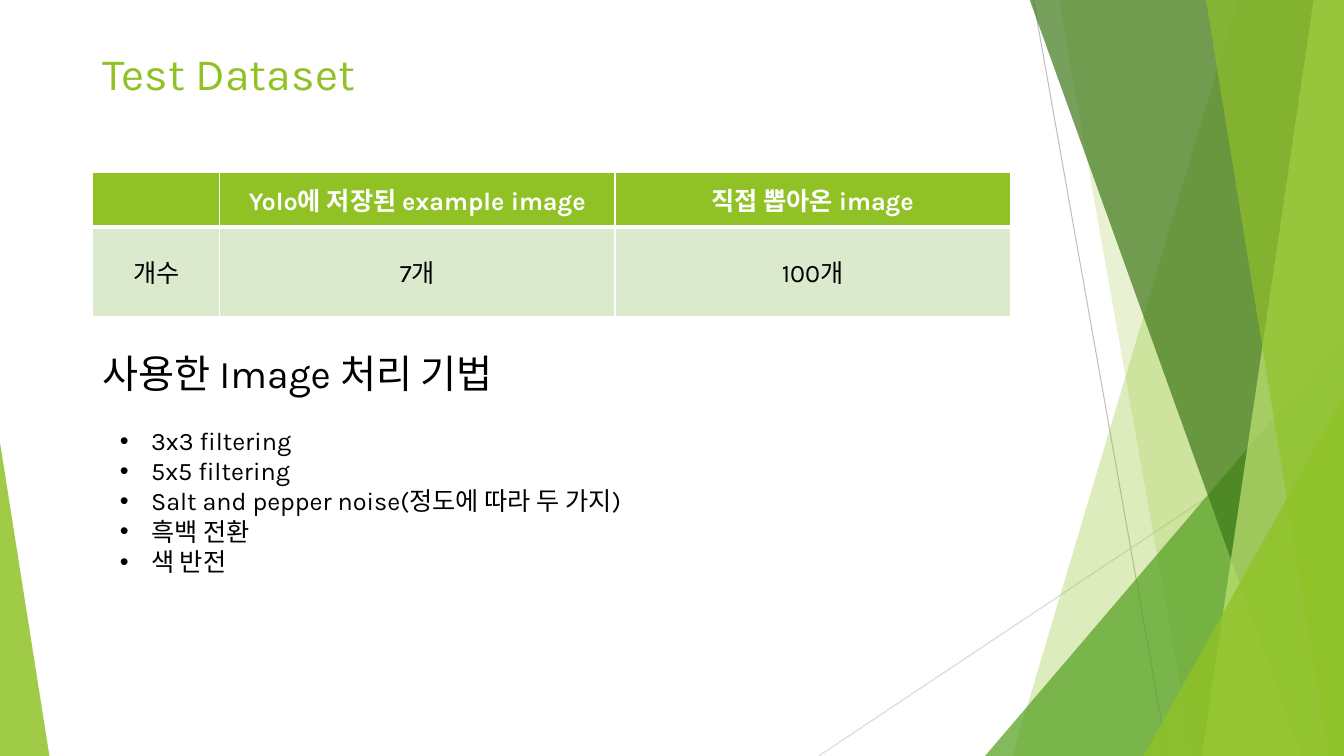
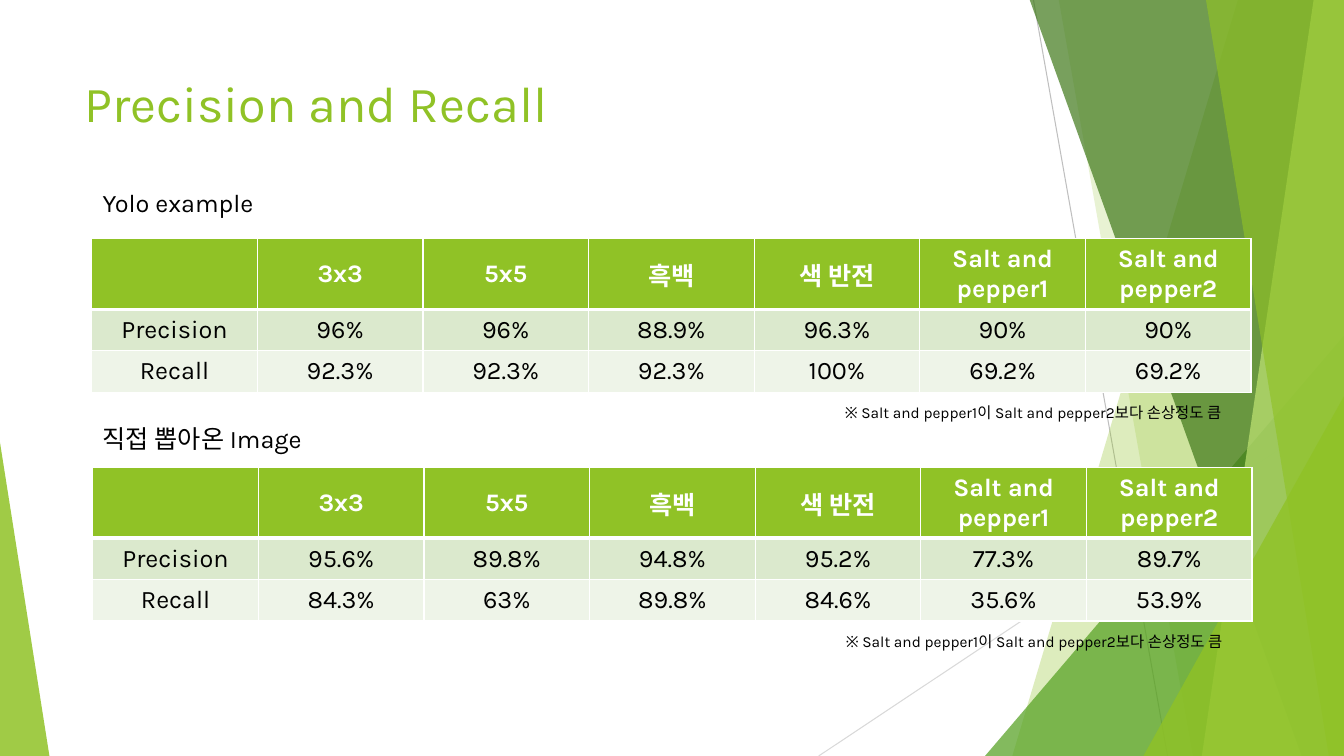
from dataclasses import dataclass

from pptx import Presentation
from pptx.dml.color import RGBColor
from pptx.enum.shapes import MSO_CONNECTOR, MSO_SHAPE
from pptx.enum.text import MSO_ANCHOR, PP_ALIGN
from pptx.oxml.ns import qn
from pptx.oxml.xmlchemy import OxmlElement
from pptx.util import Inches, Pt


@dataclass(frozen=True)
class Theme:
    font: str = "Karla"
    lime: str = "90C226"
    green: str = "54A021"
    forest: str = "3F7819"
    pale_lime: str = "C0E474"
    band_dark: str = "DBE9CD"
    band_light: str = "EEF4E8"
    gray: str = "BFBFBF"
    light_gray: str = "D9D9D9"
    white: str = "FFFFFF"
    black: str = "000000"
    heading_size: int = 28
    body_size: int = 18
    note_size: int = 11


THEME = Theme()
WIDTH, HEIGHT = 13.33, 7.5
BLEED_TOP = -0.01
LEFT = 0.92

NOTE = "※ Salt and pepper1이 Salt and pepper2보다 손상정도 큼"
TECHNIQUES = ["3x3 filtering", "5x5 filtering",
              "Salt and pepper noise(정도에 따라 두 가지)", "흑백 전환", "색 반전"]
DATASET_ROWS = [["", "Yolo에 저장된 example image", "직접 뽑아온 image"],
                ["개수", "7개", "100개"]]
SCORE_HEADER = ["", "3x3", "5x5", "흑백", "색 반전",
                "Salt and pepper1", "Salt and pepper2"]
EXAMPLE_SCORES = [
    ["Precision", "96%", "96%", "88.9%", "96.3%", "90%", "90%"],
    ["Recall", "92.3%", "92.3%", "92.3%", "100%", "69.2%", "69.2%"]]
COLLECTED_SCORES = [
    ["Precision", "95.6%", "89.8%", "94.8%", "95.2%", "77.3%", "89.7%"],
    ["Recall", "84.3%", "63%", "89.8%", "84.6%", "35.6%", "53.9%"]]


def rgb(color):
    return RGBColor.from_string(color)


# Backdrop
def paint(shape, color, opacity):
    """Fill a shape with a see-through colour and no outline."""
    shape.shadow.inherit = False
    shape.line.fill.background()
    shape.fill.solid()
    shape.fill.fore_color.rgb = rgb(color)
    alpha = OxmlElement("a:alpha")
    alpha.set("val", str(opacity * 1000))
    shape._element.spPr.find(qn("a:solidFill"))[0].append(alpha)


def add_thin_line(page, start, end, color):
    line = page.shapes.add_connector(
        MSO_CONNECTOR.STRAIGHT, *(Inches(value) for value in start + end))
    line.line.color.rgb = rgb(color)
    line.line.width = Pt(0.75)
    line._element.spPr.append(OxmlElement("a:effectLst"))


def add_shard(page, top_x, bottom_x, color, opacity):
    """Full-height panel from a slanted left edge to the page's right edge."""
    corners = [(Inches(x), Inches(y)) for x, y in (
        (top_x, BLEED_TOP), (WIDTH, BLEED_TOP), (WIDTH, HEIGHT), (bottom_x, HEIGHT))]
    builder = page.shapes.build_freeform(*corners[0])
    builder.add_line_segments(corners[1:], close=True)
    paint(builder.convert_to_shape(), color, opacity)


def add_corner(page, left, top, width, apex, color, opacity):
    """Triangle that stands on the page's bottom edge."""
    corner = page.shapes.add_shape(
        MSO_SHAPE.ISOSCELES_TRIANGLE, Inches(left), Inches(top),
        Inches(width), Inches(HEIGHT - top))
    corner.adjustments[0] = apex
    paint(corner, color, opacity)


def add_backdrop(page):
    add_thin_line(page, (10.25, 0), (11.58, HEIGHT), THEME.gray)
    add_thin_line(page, (WIDTH, 4.03), (8.12, HEIGHT), THEME.light_gray)
    add_shard(page, 12.28, 10.04, THEME.lime, 30)
    add_shard(page, 10.5, 11.83, THEME.lime, 20)
    add_corner(page, 9.77, 3.33, 3.56, 1, THEME.green, 72)
    add_shard(page, 10.21, 12.91, THEME.forest, 70)
    add_shard(page, 13.03, 11.92, THEME.pale_lime, 70)
    add_shard(page, 11.96, 13.18, THEME.lime, 65)
    add_corner(page, 11.34, 3.93, 1.99, 1, THEME.lime, 80)
    add_corner(page, 0, 4.39, 0.49, 0, THEME.lime, 85)


# Text
def format_runs(para, size, color, bold=False):
    for span in para.runs:
        span.font.name = THEME.font
        span.font.size = Pt(size)
        span.font.bold = bold
        span.font.color.rgb = rgb(color)


def add_text(page, place, text, size=THEME.body_size, color=THEME.black):
    box = page.shapes.add_textbox(*(Inches(value) for value in place))
    frame = box.text_frame
    frame.word_wrap = True
    frame.text = text
    for para in frame.paragraphs:
        format_runs(para, size, color)
    return frame


def add_bullets(page, place, items):
    frame = add_text(page, place, "\n".join(items))
    for para in frame.paragraphs:
        properties = para._p.get_or_add_pPr()
        properties.set("marL", str(Inches(0.31)))
        properties.set("indent", str(-Inches(0.31)))
        for tag, name, value in (("a:buFont", "typeface", "Arial"),
                                 ("a:buChar", "char", "•")):
            bullet = OxmlElement(tag)
            bullet.set(name, value)
            properties.append(bullet)


# Tables
def set_borders(cell, top, bottom):
    """White borders; top and bottom are widths in points."""
    properties = cell._tc.get_or_add_tcPr()
    sides = (("a:lnL", 1), ("a:lnR", 1), ("a:lnT", top), ("a:lnB", bottom))
    for index, (tag, width) in enumerate(sides):
        border = OxmlElement(tag)
        border.set("w", str(Pt(width)))
        fill = OxmlElement("a:solidFill")
        color = OxmlElement("a:srgbClr")
        color.set("val", THEME.white)
        fill.append(color)
        border.append(fill)
        properties.insert(index, border)


def style_cell(cell, row_index):
    header = row_index == 0
    bands = (THEME.band_light, THEME.band_dark)
    cell.fill.solid()
    cell.fill.fore_color.rgb = rgb(THEME.lime if header else bands[row_index % 2])
    cell.vertical_anchor = MSO_ANCHOR.MIDDLE
    para = cell.text_frame.paragraphs[0]
    para.alignment = PP_ALIGN.CENTER
    format_runs(para, THEME.body_size, THEME.white if header else THEME.black, header)
    set_borders(cell, 3 if row_index == 1 else 1, 3 if header else 1)


def add_table(page, left, top, rows, widths, heights):
    table = page.shapes.add_table(
        len(rows), len(widths), Inches(left), Inches(top),
        Inches(sum(widths)), Inches(sum(heights))).table
    table.horz_banding = False
    for column, width in zip(table.columns, widths):
        column.width = Inches(width)
    for row_index, (texts, height) in enumerate(zip(rows, heights)):
        table.rows[row_index].height = Inches(height)
        for column_index, text in enumerate(texts):
            cell = table.cell(row_index, column_index)
            cell.text_frame.text = text
            style_cell(cell, row_index)


def add_score_table(page, left, top, scores):
    """Score table with its footnote below the right end."""
    columns = len(SCORE_HEADER)
    add_table(page, left, top, [SCORE_HEADER] + scores,
              [11.5 / columns] * columns, [0.69, 0.41, 0.41])
    add_text(page, (left + 7.37, top + 1.58, 4.28, 0.29), NOTE, THEME.note_size)


# Slides
def add_page(deck, title, place, size):
    page = deck.slides.add_slide(deck.slide_layouts[6])
    add_backdrop(page)
    add_text(page, place, title, size, THEME.lime)
    return page


def add_dataset_page(deck):
    page = add_page(deck, "Test Dataset", (LEFT, 0.4, 11.5, 1.24), 32)
    add_table(page, LEFT, 1.71, DATASET_ROWS, [1.26, 3.92, 3.92], [0.54, 0.89])
    heading = add_text(page, (LEFT, 3.47, 11.5, 1.05),
                       "사용한 Image 처리 기법", THEME.heading_size)
    heading.paragraphs[0].line_spacing = 0.9
    add_bullets(page, (1.09, 4.17, 8.25, 1.62), TECHNIQUES)


def add_score_page(deck):
    page = add_page(deck, "Precision and Recall", (0.74, 0.67, 9.4, 1.44), 36)
    add_score_table(page, 0.91, 2.37, EXAMPLE_SCORES)
    add_score_table(page, LEFT, 4.64, COLLECTED_SCORES)
    add_text(page, (LEFT, 1.81, 5.41, 0.42), "Yolo example")
    add_text(page, (LEFT, 4.15, 5.41, 0.42), "직접 뽑아온 Image")


def main():
    deck = Presentation()
    deck.slide_width = Inches(WIDTH)
    deck.slide_height = Inches(HEIGHT)
    add_dataset_page(deck)
    add_score_page(deck)
    deck.save("out.pptx")


if __name__ == "__main__":
    main()
